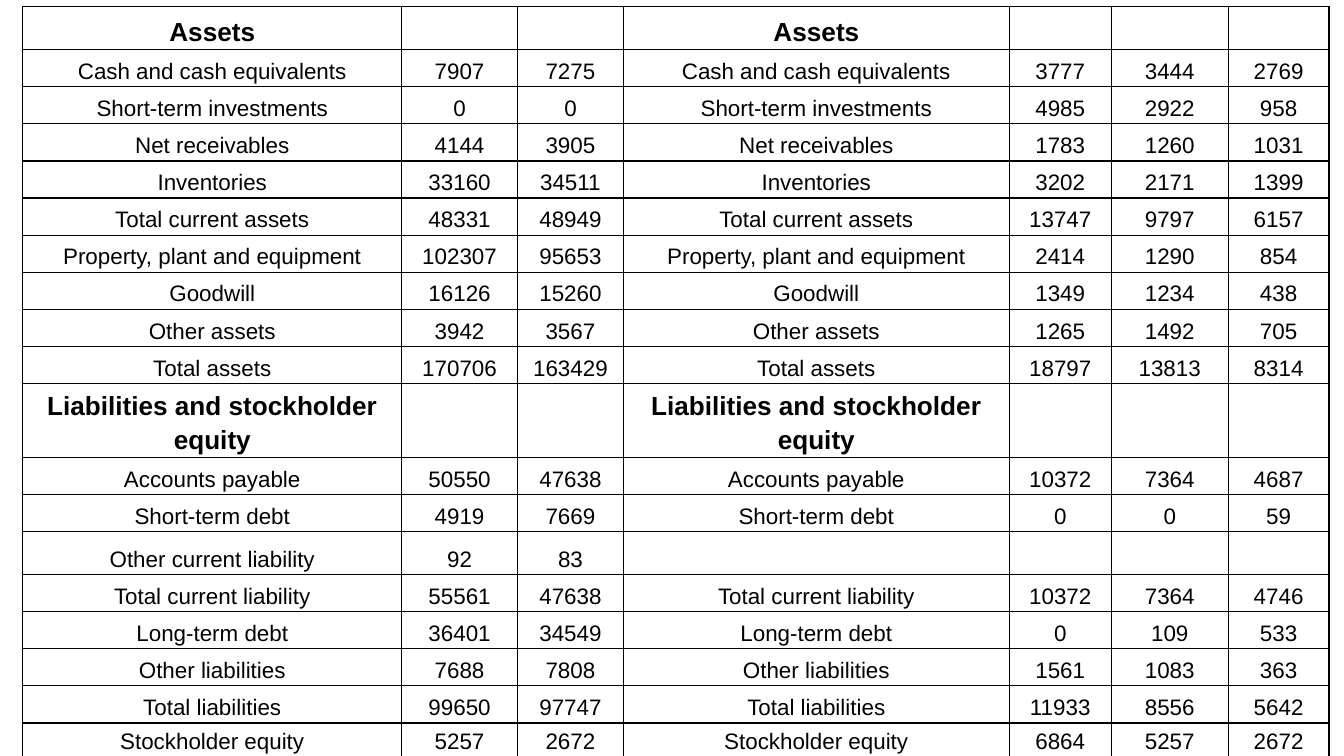
import pptx
import pptx.util
import pptx.dml.color
import pptx.enum.text
import pptx.oxml.ns
from lxml import etree

Inches, Pt = pptx.util.Inches, pptx.util.Pt
COLORS = {"text": "000000", "border": "000000"}
FONT = "Arial"
ROWS = [
    ("Assets", (), ()),
    ("Cash and cash equivalents", (7907, 7275), (3777, 3444, 2769)),
    ("Short-term investments", (0, 0), (4985, 2922, 958)),
    ("Net receivables", (4144, 3905), (1783, 1260, 1031)),
    ("Inventories", (33160, 34511), (3202, 2171, 1399)),
    ("Total current assets", (48331, 48949), (13747, 9797, 6157)),
    ("Property, plant and equipment", (102307, 95653), (2414, 1290, 854)),
    ("Goodwill", (16126, 15260), (1349, 1234, 438)),
    ("Other assets", (3942, 3567), (1265, 1492, 705)),
    ("Total assets", (170706, 163429), (18797, 13813, 8314)),
    ("Liabilities and stockholder equity", (), ()),
    ("Accounts payable", (50550, 47638), (10372, 7364, 4687)),
    ("Short-term debt", (4919, 7669), (0, 0, 59)),
    ("Other current liability", (92, 83), None),
    ("Total current liability", (55561, 47638), (10372, 7364, 4746)),
    ("Long-term debt", (36401, 34549), (0, 109, 533)),
    ("Other liabilities", (7688, 7808), (1561, 1083, 363)),
    ("Total liabilities", (99650, 97747), (11933, 8556, 5642)),
    ("Stockholder equity", (5257, 2672), (6864, 5257, 2672)),
]
SLIDE_WIDTH = 10
SLIDE_HEIGHT = SLIDE_WIDTH * 9 / 16
COL_WIDTHS = [2.82, 0.86, 0.79, 2.87, 0.76, 0.87, 0.75]
ROW_HEIGHT = 4.42 / 16
SPECIAL_HEIGHTS = {0: 0.32, 10: 0.55, 13: 0.32, 18: 0.25}


def side(label, values, count):
    if values is None:
        return [""] * (count + 1)
    return [label] + [str(v) for v in values] + [""] * (count - len(values))


def add_borders(cell):
    tc_pr = cell._tc.get_or_add_tcPr()
    for edge in ("lnL", "lnR", "lnT", "lnB"):
        ln = etree.SubElement(tc_pr, pptx.oxml.ns.qn("a:" + edge), w=str(Pt(0.75)))
        fill = etree.SubElement(ln, pptx.oxml.ns.qn("a:solidFill"))
        etree.SubElement(fill, pptx.oxml.ns.qn("a:srgbClr"), val=COLORS["border"])


def write(cell, text, size=12, bold=False):
    cell.margin_left = cell.margin_right = Inches(0.03)
    cell.margin_top = cell.margin_bottom = Inches(0.02)
    cell.vertical_anchor = pptx.enum.text.MSO_ANCHOR.BOTTOM
    p = cell.text_frame.paragraphs[0]
    p.alignment = pptx.enum.text.PP_ALIGN.CENTER
    p.line_spacing = 1.15
    if not text:
        etree.SubElement(p._p, pptx.oxml.ns.qn("a:endParaRPr"), sz=str(size * 100))
        return
    r = p.add_run()
    r.text = text
    r.font.name = FONT
    r.font.size = Pt(size)
    r.font.bold = bold
    r.font.color.rgb = pptx.dml.color.RGBColor.from_string(COLORS["text"])


def main():
    prs = pptx.Presentation()
    prs.slide_width, prs.slide_height = Inches(SLIDE_WIDTH), Inches(SLIDE_HEIGHT)
    s = prs.slides.add_slide(prs.slide_layouts[6])
    heights = [SPECIAL_HEIGHTS.get(i, ROW_HEIGHT) for i in range(len(ROWS))]
    table = s.shapes.add_table(
        len(ROWS), len(COL_WIDTHS), Inches(0.17), Inches(0.05),
        Inches(sum(COL_WIDTHS)), Inches(sum(heights))).table
    table.first_row = table.horz_banding = False
    for column, width in zip(table.columns, COL_WIDTHS):
        column.width = Inches(width)
    for i, (label, left, right) in enumerate(ROWS):
        table.rows[i].height = Inches(heights[i])
        heading = not left
        for j, text in enumerate(side(label, left, 2) + side(label, right, 3)):
            cell = table.cell(i, j)
            add_borders(cell)
            cell.fill.background()
            write(cell, text, size=14 if heading else 12, bold=heading)
    prs.save("out.pptx")


if __name__ == "__main__":
    main()
